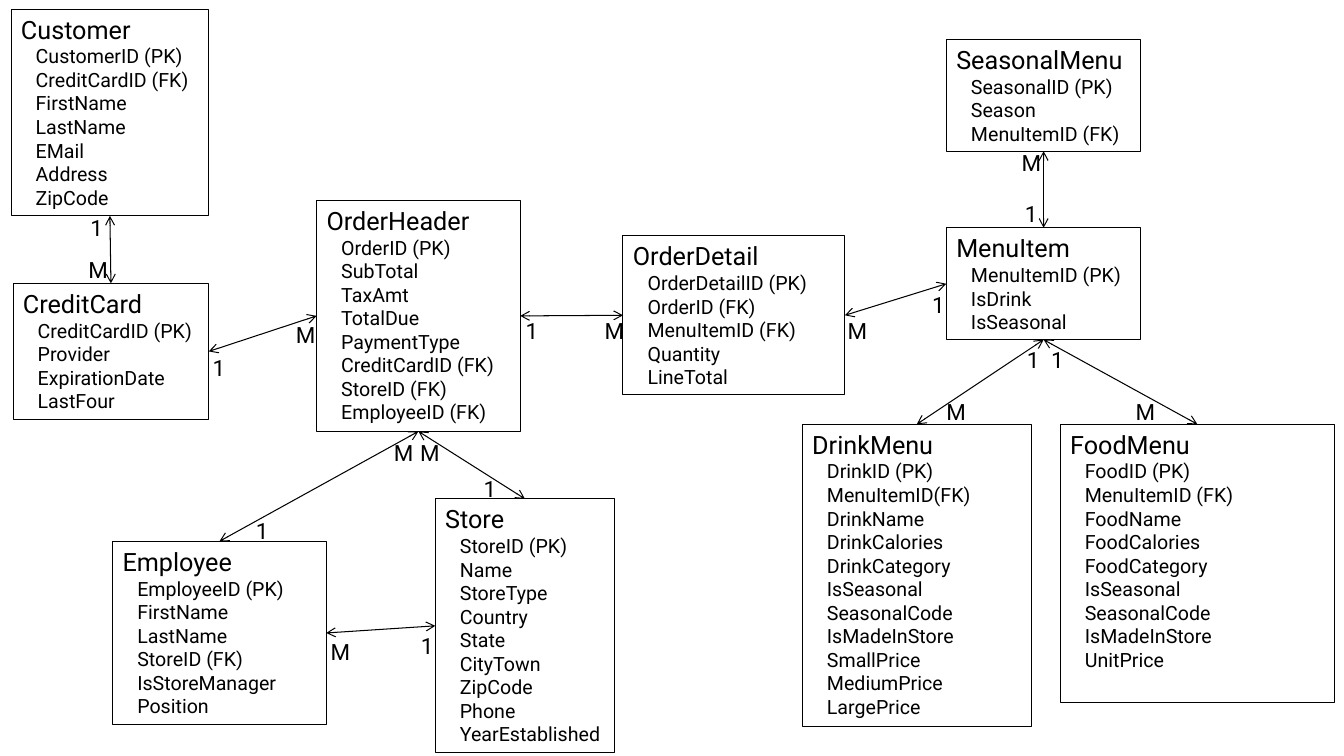
from dataclasses import dataclass

from lxml import etree
from pptx import Presentation
from pptx import util as u
from pptx.dml import color
from pptx.enum import shapes, text
from pptx.oxml import ns


@dataclass(frozen=True)
class Theme:
    ink: color.RGBColor = color.RGBColor(0, 0, 0)
    font: str = "Roboto"
    entity_size: u.Length = u.Pt(18)
    field_size: u.Length = u.Pt(14)
    cardinality_size: u.Length = u.Pt(16)
    stroke: u.Length = u.Pt(0.75)


theme = Theme()
TOP, LEFT, BOTTOM, RIGHT = range(4)
FIELD_INDENT = u.Cm(0.37)
CARDINALITY_HEIGHT = 0.94
CARDINALITY_WIDTHS = {"1": 0.81, "M": 0.97}

entities = {
    "Customer": (0.28, 0.23, 4.98, 5.21, [
        "CustomerID (PK)", "CreditCardID (FK)", "FirstName", "LastName",
        "EMail", "Address", "ZipCode"]),
    "CreditCard": (0.33, 7.14, 4.93, 3.43, [
        "CreditCardID (PK)", "Provider", "ExpirationDate", "LastFour"]),
    "OrderHeader": (7.98, 5.05, 5.13, 5.82, [
        "OrderID (PK)", "SubTotal", "TaxAmt", "TotalDue", "PaymentType",
        "CreditCardID (FK)", "StoreID (FK)", "EmployeeID (FK)"]),
    "OrderDetail": (15.7, 5.94, 5.59, 4.01, [
        "OrderDetailID (PK)", "OrderID (FK)", "MenuItemID (FK)", "Quantity",
        "LineTotal"]),
    "SeasonalMenu": (23.85, 0.99, 4.9, 2.82, [
        "SeasonalID (PK)", "Season", "MenuItemID (FK)"]),
    "MenuItem": (23.85, 5.74, 4.9, 2.82, [
        "MenuItemID (PK)", "IsDrink", "IsSeasonal"]),
    "DrinkMenu": (20.22, 10.69, 5.77, 7.62, [
        "DrinkID (PK)", "MenuItemID(FK)", "DrinkName", "DrinkCalories",
        "DrinkCategory", "IsSeasonal", "SeasonalCode", "IsMadeInStore",
        "SmallPrice", "MediumPrice", "LargePrice"]),
    "FoodMenu": (26.72, 10.69, 6.91, 7.01, [
        "FoodID (PK)", "MenuItemID (FK)", "FoodName", "FoodCalories",
        "FoodCategory", "IsSeasonal", "SeasonalCode", "IsMadeInStore",
        "UnitPrice"]),
    "Employee": (2.84, 13.64, 5.38, 4.62, [
        "EmployeeID (PK)", "FirstName", "LastName", "StoreID (FK)",
        "IsStoreManager", "Position"]),
    "Store": (10.97, 12.57, 4.52, 6.4, [
        "StoreID (PK)", "Name", "StoreType", "Country", "State", "CityTown",
        "ZipCode", "Phone", "YearEstablished"]),
}

relationships = [
    (("CreditCard", TOP, "M", 1.98, 6.32), ("Customer", BOTTOM, "1", 2.03, 5.26)),
    (("CreditCard", RIGHT, "1", 5.11, 8.81), ("OrderHeader", LEFT, "M", 7.21, 7.98)),
    (("OrderDetail", LEFT, "M", 14.99, 7.87), ("OrderHeader", RIGHT, "1", 13, 7.87)),
    (("MenuItem", LEFT, "1", 23.24, 7.21), ("OrderDetail", RIGHT, "M", 21.11, 7.87)),
    (("MenuItem", TOP, "1", 25.58, 4.93), ("SeasonalMenu", BOTTOM, "M", 25.5, 3.63)),
    (("MenuItem", BOTTOM, "1", 25.63, 8.59), ("DrinkMenu", TOP, "M", 23.6, 9.91)),
    (("MenuItem", BOTTOM, "1", 26.24, 8.59), ("FoodMenu", TOP, "M", 28.37, 9.91)),
    (("Employee", TOP, "1", 6.2, 12.9), ("OrderHeader", BOTTOM, "M", 9.68, 10.95)),
    (("Store", TOP, "1", 11.94, 11.84), ("OrderHeader", BOTTOM, "M", 10.34, 10.95)),
    (("Employee", RIGHT, "M", 8.08, 15.95), ("Store", LEFT, "1", 10.36, 15.8)),
]


def write(paragraph, words, size, align):
    paragraph.text = words
    paragraph.alignment = align
    paragraph.font.name = theme.font
    paragraph.font.size = size
    paragraph.font.color.rgb = theme.ink


def draw_line(line):
    line.color.rgb = theme.ink
    line.width = theme.stroke


deck = Presentation()
deck.slide_width, deck.slide_height = u.Cm(33.87), u.Cm(19.05)
diagram = deck.slides.add_slide(deck.slide_layouts[6])

boxes = {}
for entity, (*bounds, fields) in entities.items():
    box = diagram.shapes.add_shape(shapes.MSO_SHAPE.RECTANGLE, *map(u.Cm, bounds))
    box.shadow.inherit = False
    box.fill.background()
    draw_line(box.line)
    frame = box.text_frame
    frame.word_wrap = True
    frame.vertical_anchor = text.MSO_ANCHOR.TOP
    write(frame.paragraphs[0], entity, theme.entity_size, text.PP_ALIGN.LEFT)
    for field in fields:
        row = frame.add_paragraph()
        write(row, field, theme.field_size, text.PP_ALIGN.LEFT)
        row._p.get_or_add_pPr().set("marL", str(FIELD_INDENT))
    boxes[entity] = box

for start, end in relationships:
    relation = diagram.shapes.add_connector(shapes.MSO_CONNECTOR.STRAIGHT, 0, 0, 0, 0)
    relation.begin_connect(boxes[start[0]], start[1])
    relation.end_connect(boxes[end[0]], end[1])
    draw_line(relation.line)
    properties = relation._element.spPr
    stroke = properties.find(ns.qn("a:ln"))
    for tip in ("a:headEnd", "a:tailEnd"):
        etree.SubElement(stroke, ns.qn(tip), type="arrow")
    etree.SubElement(properties, ns.qn("a:effectLst"))

    for _, _, cardinality, left, top in (start, end):
        mark = diagram.shapes.add_textbox(
            u.Cm(left), u.Cm(top),
            u.Cm(CARDINALITY_WIDTHS[cardinality]), u.Cm(CARDINALITY_HEIGHT))
        mark.text_frame.word_wrap = False
        write(mark.text_frame.paragraphs[0], cardinality,
              theme.cardinality_size, text.PP_ALIGN.CENTER)

deck.save("out.pptx")
